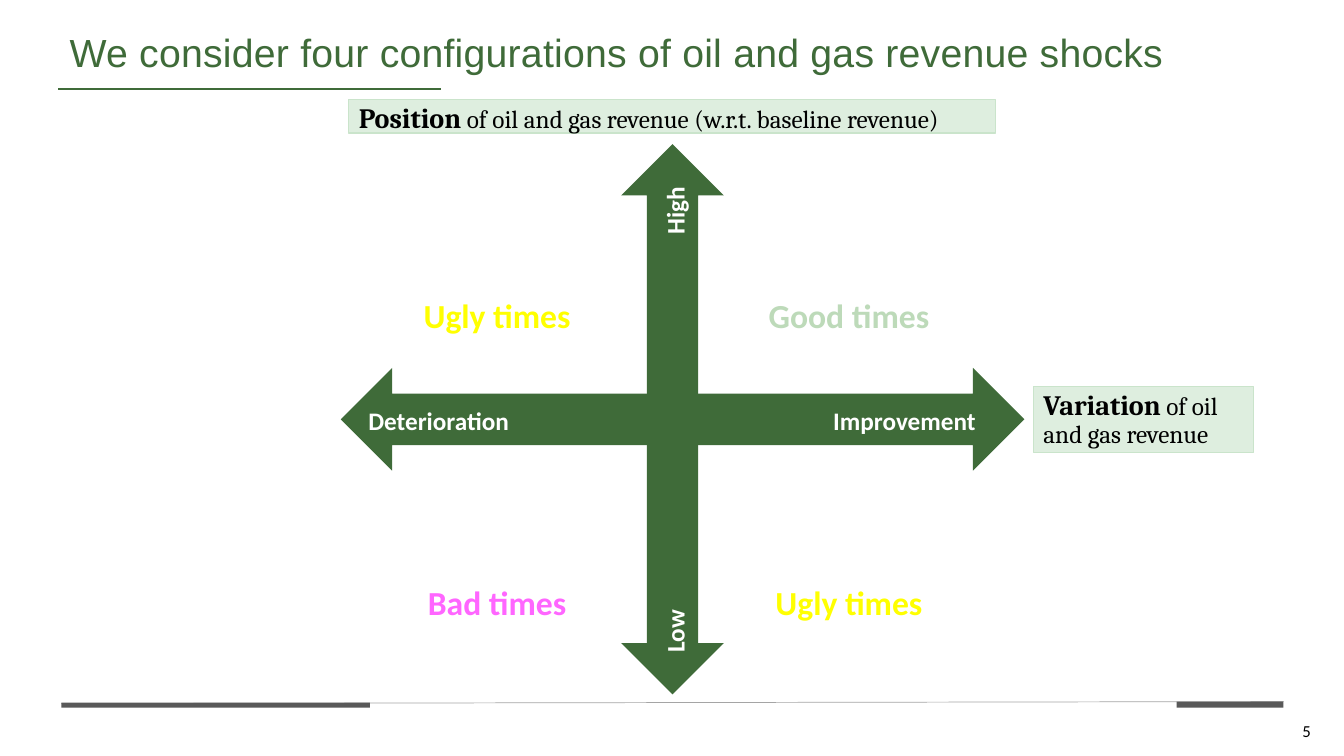
from lxml import etree
from pptx import Presentation
from pptx.dml.color import RGBColor
from pptx.enum.shapes import MSO_CONNECTOR, MSO_SHAPE
from pptx.enum.text import MSO_ANCHOR, MSO_AUTO_SIZE, PP_ALIGN
from pptx.oxml.ns import qn
from pptx.util import Inches, Pt

LINE = MSO_CONNECTOR.STRAIGHT
RECT = MSO_SHAPE.RECTANGLE
TALL = MSO_SHAPE.UP_DOWN_ARROW
WIDE = MSO_SHAPE.LEFT_RIGHT_ARROW
TOP, MIDDLE = MSO_ANCHOR.TOP, MSO_ANCHOR.MIDDLE
FIXED = MSO_AUTO_SIZE.NONE
LEFT, CENTER = PP_ALIGN.LEFT, PP_ALIGN.CENTER

GREEN = RGBColor(0x3F, 0x6B, 0x39)
PALE = RGBColor(0xDE, 0xEE, 0xDF)
EDGE = RGBColor(0xCA, 0xE4, 0xCB)
GRAY = RGBColor(0x59, 0x59, 0x59)
SILVER = RGBColor(0xA5, 0xA5, 0xA5)
BLACK = RGBColor(0, 0, 0)
WHITE = RGBColor(0xFF, 0xFF, 0xFF)
MINT = RGBColor(0xBD, 0xDA, 0xB9)
LEAF = RGBColor(0x5D, 0x9E, 0x54)
PINK = RGBColor(0xFF, 0x66, 0xFF)
RED = RGBColor(0xFF, 0, 0)
YELLOW = RGBColor(0xFF, 0xFF, 0)
AMBER = RGBColor(0xFF, 0xC0, 0)


class Deck:
    head, body, serif = "Arial", "Calibri", "Cambria"

    def __init__(self, slide):
        self.slide = slide
        self.shapes = slide.shapes

    def style(self, font, name, size, color, bold=False):
        font.name, font.size, font.bold = name, Pt(size), bold
        font.color.rgb = color

    def inset(self, frame, left=0, top=0, right=0, bottom=0):
        frame.margin_left, frame.margin_top = Inches(left), Inches(top)
        frame.margin_right, frame.margin_bottom = Inches(right), Inches(bottom)

    def title(self, text, box):
        shape = self.shapes.title
        shape.left, shape.top, shape.width, shape.height = map(Inches, box)
        frame = shape.text_frame
        frame.text = text
        frame.auto_size, frame.vertical_anchor = FIXED, MIDDLE
        self.inset(frame, top=0.01)
        para = frame.paragraphs[0]
        para.alignment = LEFT
        self.style(para.font, self.head, 28, GREEN)
        para.runs[0]._r.get_or_add_rPr().set("spc", "20")

    def line(self, start, end, color, width):
        rule = self.shapes.add_connector(LINE, *map(Inches, start + end))
        rule.line.color.rgb, rule.line.width = color, Pt(width)
        etree.SubElement(rule._element.spPr, qn("a:effectLst"))

    def block(self, kind, box, fill, edge=None):
        shape = self.shapes.add_shape(kind, *map(Inches, box))
        shape.shadow.inherit = False
        shape.fill.solid()
        shape.fill.fore_color.rgb = fill
        if edge is None:
            shape.line.fill.background()
        else:
            shape.line.color.rgb, shape.line.width = edge, Pt(0.75)
        return shape

    def note(self, box, key, rest):
        frame = self.block(RECT, box, PALE, EDGE).text_frame
        frame.word_wrap, frame.vertical_anchor = True, TOP
        para = frame.paragraphs[0]
        para.alignment, para.line_spacing = LEFT, 0.9
        for text, size, bold in ((key, 20, True), (rest, 18, False)):
            run = para.add_run()
            run.text = text
            self.style(run.font, self.serif, size, BLACK, bold)

    def label(self, text, mid, size, color, bold=True, turn=0, edge=None,
              width=1.82, height=0.5):
        x, y = mid
        box = self.shapes.add_textbox(Inches(x - width / 2), Inches(y - height / 2),
                                      Inches(width), Inches(height))
        box.rotation = turn
        frame = box.text_frame
        frame.text, frame.word_wrap = text, True
        frame.vertical_anchor = MIDDLE
        self.inset(frame)
        para = frame.paragraphs[0]
        para.alignment = CENTER
        self.style(para.font, self.body, size, color, bold)
        if edge is not None:
            ring = etree.Element(qn("a:ln"), w=str(Pt(1.75)))
            fill = etree.SubElement(ring, qn("a:solidFill"))
            etree.SubElement(fill, qn("a:srgbClr"), val=str(edge))
            para.runs[0]._r.get_or_add_rPr().insert(0, ring)


def main():
    show = Presentation()
    show.slide_width, show.slide_height = Inches(13.33), Inches(7.5)
    deck = Deck(show.slides.add_slide(show.slide_layouts[5]))

    deck.line((0.61, 6.98), (12.73, 6.96), SILVER, 0.5)
    deck.block(RECT, (0.61, 6.97, 3.06, 0.05), GRAY)
    deck.block(RECT, (11.67, 6.96, 1.06, 0.06), GRAY)
    deck.title("We consider four configurations of oil and gas revenue shocks",
               (0.69, 0.26, 12.34, 0.49))
    deck.line((0.58, 0.88), (4.37, 0.88), GREEN, 1.5)
    deck.label("5", (12.96, 7.25), 12, BLACK, bold=False, width=0.32, height=0.29)

    deck.block(TALL, (6.16, 1.43, 1.02, 5.46), GREEN)
    deck.block(WIDE, (3.38, 3.65, 6.78, 1.02), GREEN)
    for text, mid, turn in (("High", (6.69, 2.09), -90), ("Low", (6.69, 6.26), -90),
                            ("Deterioration", (4.35, 4.17), 0),
                            ("Improvement", (8.97, 4.17), 0)):
        deck.label(text, mid, 18, WHITE, turn=turn)

    deck.note((3.46, 0.99, 6.41, 0.33), "Position",
              " of oil and gas revenue (w.r.t. baseline revenue)")
    deck.note((10.25, 3.83, 2.18, 0.66), "Variation", " of oil and gas revenue")

    west, east, north, south = 4.93, 8.42, 3.13, 5.97
    for text, mid, color, edge in (("Good times", (east, north), MINT, LEAF),
                                   ("Bad times", (west, south), PINK, RED),
                                   ("Ugly times", (east, south), YELLOW, AMBER),
                                   ("Ugly times", (west, north), YELLOW, AMBER)):
        deck.label(text, mid, 24, color, edge=edge)

    show.save("out.pptx")


if __name__ == "__main__":
    main()
